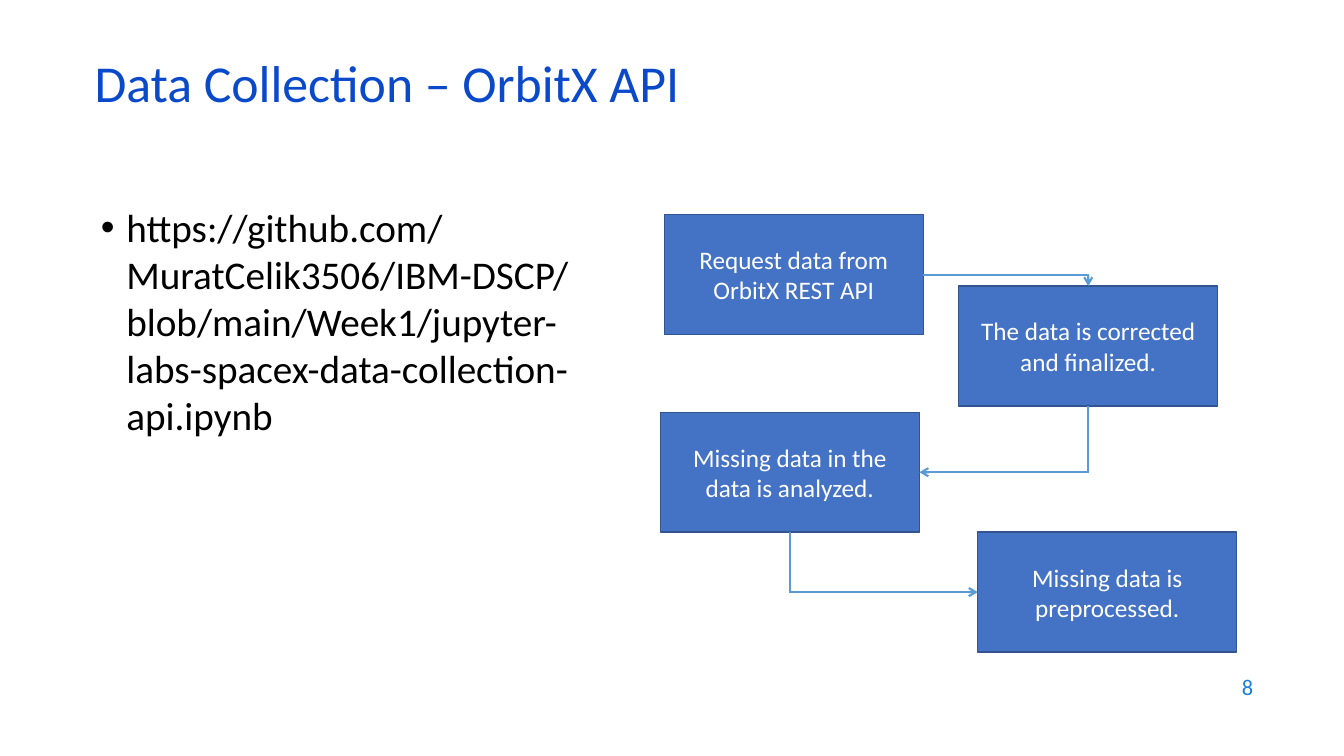
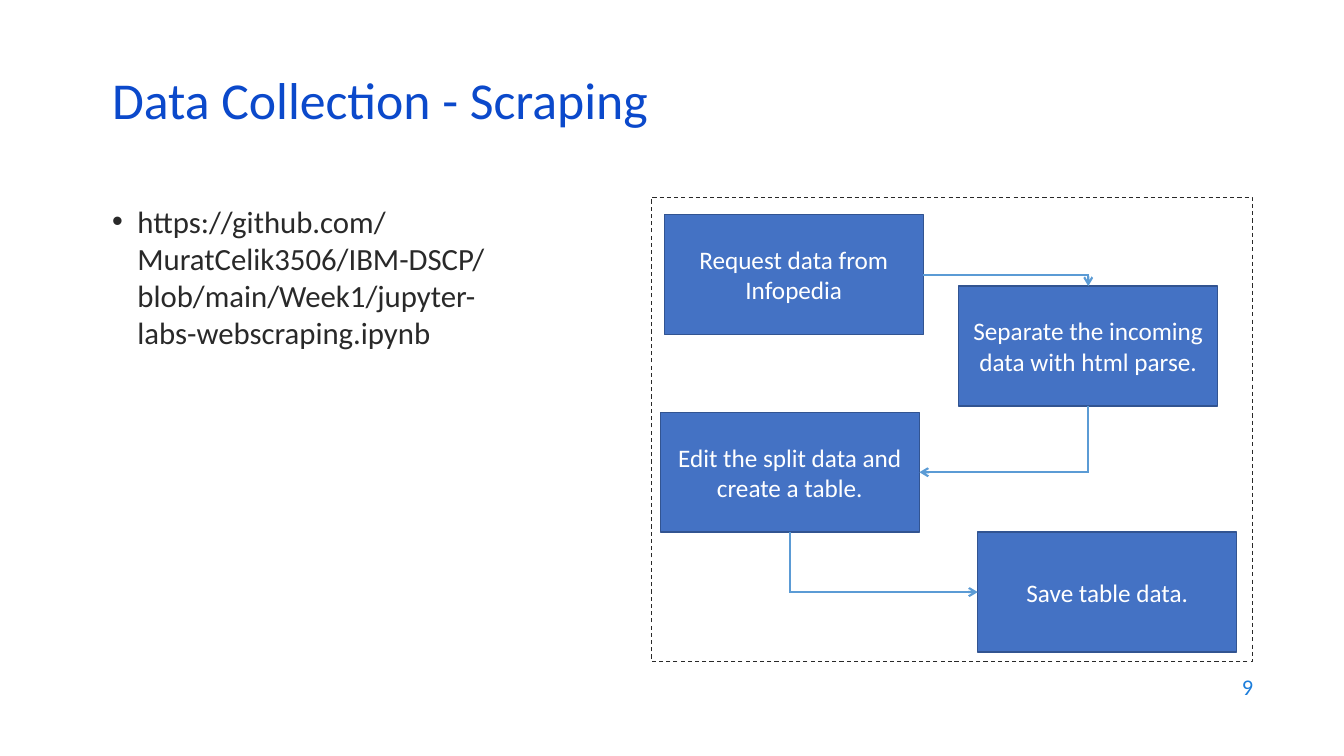
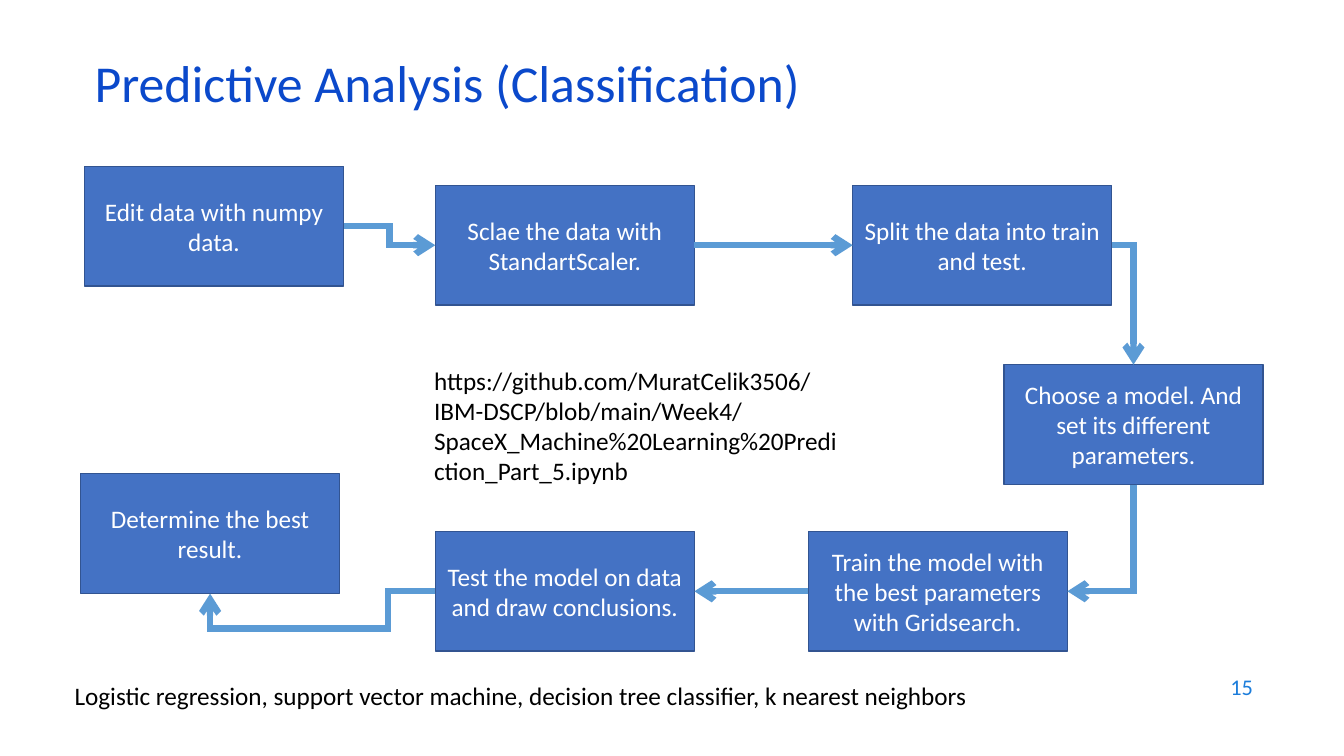
from lxml.etree import SubElement
from pptx import Presentation
from pptx.dml.color import RGBColor
from pptx.enum.dml import MSO_LINE
from pptx.enum.shapes import MSO_CONNECTOR, MSO_SHAPE
from pptx.enum.text import MSO_ANCHOR, MSO_AUTO_SIZE, PP_ALIGN
from pptx.oxml.ns import qn
from pptx.util import Cm, Pt

FONT = "Calibri"
BOX = (6.53, 3.02)
TOP, LEFT, BOTTOM, RIGHT = range(4)

# (start side, end side): preset, rotation, flip
ROUTES = {
    (RIGHT, TOP): ("bentConnector2", 0, None),
    (BOTTOM, RIGHT): ("bentConnector2", 90, None),
    (BOTTOM, LEFT): ("bentConnector2", 270, "flipH"),
    (RIGHT, LEFT): ("bentConnector3", 0, None),
    (LEFT, RIGHT): ("straightConnector1", 0, "flipH"),
    (LEFT, BOTTOM): ("bentConnector4", 180, "flipV"),
}

STEPS = [(16.74, 5.41), (24.16, 7.21), (16.64, 10.39), (24.64, 13.41)]
TURNS = [(RIGHT, TOP), (BOTTOM, RIGHT), (BOTTOM, LEFT)]
REPO = "https://github.com/MuratCelik3506/IBM-DSCP/blob/main/"


def color(code):
    return RGBColor.from_string(code)


def apply(target, values):
    for name, value in values.items():
        setattr(target, name, value)


class Deck:
    title_look = {"size": 37, "color": "0B49CB"}
    box_look = {"size": 18, "color": "FFFFFF"}
    page_look = {"size": 16, "color": "1C7DDB"}
    fill, edge, arrow, dash = "4472C4", "325491", "5B9BD5", "292929"

    def __init__(self):
        self.show = Presentation()
        apply(self.show, {"slide_width": Cm(33.87), "slide_height": Cm(19.05)})
        self.slide = None

    def start(self, title, page, layout=5, left=2.13, top=1.5):
        """Add a slide with its title and page number."""
        self.slide = self.show.slides.add_slide(self.show.slide_layouts[layout])
        head = self.slide.shapes.title
        self.place(head, left, top, 29.21, 1.52)
        self.label(head, title, self.title_look, anchor=MSO_ANCHOR.MIDDLE, spacing=0.7)
        self.text(page, 24.21, 16.74, 7.62, 1.12, self.page_look,
                  align=PP_ALIGN.RIGHT, anchor=MSO_ANCHOR.MIDDLE)

    def place(self, shape, left, top, width, height):
        apply(shape, {"left": Cm(left), "top": Cm(top),
                      "width": Cm(width), "height": Cm(height)})

    def label(self, shape, text, look, align=PP_ALIGN.LEFT,
              anchor=MSO_ANCHOR.TOP, spacing=1.0):
        frame = shape.text_frame
        apply(frame, {"word_wrap": True, "auto_size": MSO_AUTO_SIZE.NONE,
                      "vertical_anchor": anchor})
        para = frame.paragraphs[0]
        apply(para, {"alignment": align, "line_spacing": spacing, "space_before": Pt(0)})
        run = para.add_run()
        run.text = text
        apply(run.font, {"name": FONT, "size": Pt(look["size"])})
        run.font.color.rgb = color(look["color"])

    def text(self, text, left, top, width, height, look, **style):
        area = self.slide.shapes.add_textbox(Cm(left), Cm(top), Cm(width), Cm(height))
        self.label(area, text, look, **style)

    def bullet(self, text, left, top, width, height, look):
        body = self.slide.placeholders[1]
        self.place(body, left, top, width, height)
        props = body.text_frame.paragraphs[0]._p.get_or_add_pPr()
        indent = Cm(0.64)
        props.set("marL", str(indent))
        props.set("indent", str(-indent))
        SubElement(props, qn("a:buChar")).set("char", "•")
        self.label(body, text, look)

    def rect(self, left, top, width, height):
        shape = self.slide.shapes.add_shape(
            MSO_SHAPE.RECTANGLE, Cm(left), Cm(top), Cm(width), Cm(height))
        shape.shadow.inherit = False
        return shape

    def frame(self, left, top, width, height):
        shape = self.rect(left, top, width, height)
        shape.fill.background()
        shape.line.color.rgb = color(self.dash)
        apply(shape.line, {"width": Pt(0.75), "dash_style": MSO_LINE.DASH})

    def box(self, text, left, top):
        shape = self.rect(left, top, *BOX)
        shape.fill.solid()
        shape.fill.fore_color.rgb = color(self.fill)
        shape.line.color.rgb = color(self.edge)
        shape.line.width = Pt(1)
        self.label(shape, text, self.box_look, align=PP_ALIGN.CENTER,
                   anchor=MSO_ANCHOR.MIDDLE)
        return shape

    def link(self, first, last, sides, weight, bends=()):
        """Glue an arrow to two boxes; bends are lengths along its width and height."""
        line = self.slide.shapes.add_connector(MSO_CONNECTOR.ELBOW, 0, 0, 0, 0)
        line.begin_connect(first, sides[0])
        line.end_connect(last, sides[1])
        preset, turn, flip = ROUTES[sides]
        mid_x = (line.begin_x + line.end_x) // 2
        mid_y = (line.begin_y + line.end_y) // 2
        wide, high = abs(line.end_x - line.begin_x), abs(line.end_y - line.begin_y)
        if turn % 180:
            wide, high = high, wide
        apply(line, {"left": mid_x - wide // 2, "top": mid_y - high // 2,
                     "width": wide, "height": high})
        props = line._element.spPr
        form = props.find(qn("a:xfrm"))
        for name in ("flipH", "flipV"):
            form.attrib.pop(name, None)
        if flip:
            form.set(flip, "1")
        form.set("rot", str(turn * 60000))
        shape = props.find(qn("a:prstGeom"))
        shape.set("prst", preset)
        for index, (bend, span) in enumerate(zip(bends, (wide, high)), 1):
            guide = SubElement(shape.find(qn("a:avLst")), qn("a:gd"))
            guide.set("name", f"adj{index}")
            guide.set("fmla", f"val {round(Cm(bend) / span * 100000)}")
        line.line.color.rgb = color(self.arrow)
        line.line.width = Pt(weight)
        stroke = props.find(qn("a:ln"))
        SubElement(stroke, qn("a:miter")).set("lim", "800000")
        SubElement(stroke, qn("a:tailEnd")).set("type", "arrow")
        SubElement(props, qn("a:effectLst"))

    def flow(self, texts, spots, turns, weight, bends=None):
        """Draw boxes in order, each joined to the next; bends maps a link to its bends."""
        boxes = [self.box(text, *spot) for text, spot in zip(texts, spots)]
        for index, sides in enumerate(turns):
            self.link(boxes[index], boxes[index + 1], sides, weight,
                      (bends or {}).get(index, ()))


def main():
    deck = Deck()

    deck.start("Data Collection – OrbitX API", "8", layout=1)
    deck.bullet(REPO + "Week1/jupyter-labs-spacex-data-collection-api.ipynb",
                2.29, 5, 12.88, 11.73, {"size": 28, "color": "000000"})
    deck.flow(["Request data from OrbitX REST API",
               "The data is corrected and finalized.",
               "Missing data in the data is analyzed.",
               "Missing data is preprocessed."], STEPS, TURNS, 1.5)

    deck.start("Data Collection - Scraping", "9", layout=1, left=2.57, top=1.93)
    deck.bullet(REPO + "Week1/jupyter-labs-webscraping.ipynb",
                2.57, 4.98, 10.92, 10.59, {"size": 22, "color": "292929"})
    deck.frame(16.41, 4.98, 15.16, 11.68)
    deck.flow(["Request data from Infopedia",
               "Separate the incoming data with html parse.",
               "Edit the split data and create a table.",
               "Save table data."], STEPS, TURNS, 1.5)

    deck.start("Predictive Analysis (Classification)", "15")
    deck.flow(["Edit data with numpy data.",
               "Sclae the data with StandartScaler.",
               "Split the data into train and test.",
               "Choose a model. And set its different parameters.",
               "Train the model with the best parameters with Gridsearch.",
               "Test the model on data and draw conclusions.",
               "Determine the best result."],
              [(2.13, 4.19), (10.97, 4.67), (21.49, 4.67), (25.3, 9.19),
               (20.37, 13.39), (10.97, 13.39), (2.03, 11.94)],
              [(RIGHT, LEFT), (RIGHT, LEFT), (RIGHT, TOP), (BOTTOM, RIGHT),
               (LEFT, RIGHT), (LEFT, BOTTOM)], 4.5, {5: (1.19, 0.94)})
    note = {"size": 18, "color": "000000"}
    deck.text(REPO + "Week4/SpaceX_Machine%20Learning%20Prediction_Part_5.ipynb",
              10.69, 9.07, 10.8, 4.11, note)
    deck.text("Logistic regression, support vector machine, decision tree classifier, "
              "k nearest neighbors", 1.63, 17.02, 27.18, 1.02, note)

    deck.show.save("out.pptx")


if __name__ == "__main__":
    main()
